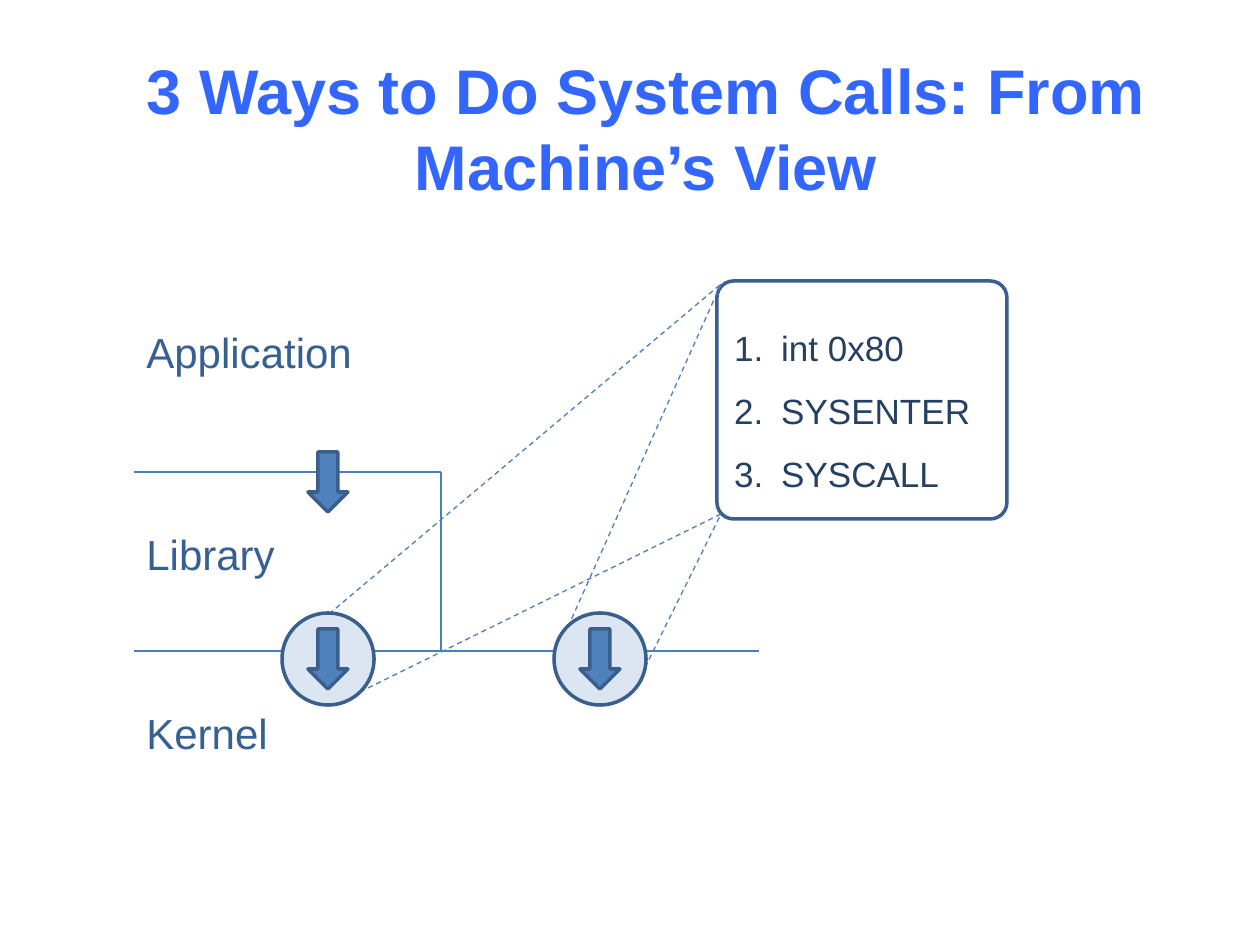
import pptx
import pptx.dml.color
import pptx.enum.dml
import pptx.enum.shapes
import pptx.enum.text
import pptx.oxml.ns
import pptx.util
from lxml import etree

EMU_PER_PX = 914400 / 126
SHAPES = pptx.enum.shapes.MSO_SHAPE
ANCHOR = pptx.enum.text.MSO_ANCHOR
ALIGN = pptx.enum.text.PP_ALIGN
DASH = pptx.enum.dml.MSO_LINE.DASH


def px(length):
    return pptx.util.Emu(round(length * EMU_PER_PX))


def color(value):
    return pptx.dml.color.RGBColor.from_string(value)


def apply(target, values):
    for name, value in values.items():
        setattr(target, name, value)


def add_element(parent, tag, **attributes):
    return etree.SubElement(parent, pptx.oxml.ns.qn(tag), **attributes)


class SlideBuilder:
    font = "Arial"
    outline = "3A5F8C"
    rule = "4B7EBC"
    arrow_fill = "4F81BD"
    circle_fill = "DCE6F2"

    def __init__(self, slide):
        self.slide = slide

    def format_text(self, paragraph, size, text_color, bold=False):
        apply(paragraph.font, {"name": self.font, "size": pptx.util.Pt(size), "bold": bold})
        paragraph.font.color.rgb = color(text_color)

    def text(self, content, left, top, width, height, size, text_color,
             bold=False, align=ALIGN.LEFT, anchor=ANCHOR.TOP):
        box = self.slide.shapes.add_textbox(px(left), px(top), px(width), px(height))
        apply(box.text_frame, {"word_wrap": True, "vertical_anchor": anchor})
        paragraph = box.text_frame.paragraphs[0]
        apply(paragraph, {"text": content, "alignment": align})
        self.format_text(paragraph, size, text_color, bold)

    def line(self, start, end, dash=None):
        connector = self.slide.shapes.add_connector(
            pptx.enum.shapes.MSO_CONNECTOR.STRAIGHT, *map(px, start + end))
        apply(connector.line, {"width": pptx.util.Pt(0.75), "dash_style": dash})
        connector.line.color.rgb = color(self.rule)
        add_element(connector._element.spPr, "a:effectLst")

    def shape(self, kind, left, top, width, height, fill=None):
        shape = self.slide.shapes.add_shape(kind, px(left), px(top), px(width), px(height))
        shape.shadow.inherit = False
        if fill:
            shape.fill.solid()
            shape.fill.fore_color.rgb = color(fill)
        else:
            shape.fill.background()
        shape.line.width = pptx.util.Pt(2)
        shape.line.color.rgb = color(self.outline)
        return shape

    def arrow(self, center, top):
        self.shape(SHAPES.DOWN_ARROW, center - 20, top, 40, 60, self.arrow_fill)

    def circled_arrow(self, center, top):
        self.shape(SHAPES.OVAL, center - 46, top, 92, 92, self.circle_fill)
        self.arrow(center, top + 16)

    def numbered_box(self, items, left, top, width, height):
        box = self.shape(SHAPES.ROUNDED_RECTANGLE, left, top, width, height)
        box.adjustments[0] = 0.07
        frame = box.text_frame
        apply(frame, {"word_wrap": True, "vertical_anchor": ANCHOR.MIDDLE})
        for index, item in enumerate(items):
            paragraph = frame.add_paragraph() if index else frame.paragraphs[0]
            apply(paragraph, {"text": item, "alignment": ALIGN.LEFT, "line_spacing": 1.5})
            properties = paragraph._p.get_or_add_pPr()
            properties.set("marL", str(px(47)))
            properties.set("indent", str(px(-47)))
            add_element(properties, "a:buFont", typeface=self.font)
            add_element(properties, "a:buAutoNum", type="arabicPeriod")
            self.format_text(paragraph, 20, "254061")


def main():
    presentation = pptx.Presentation()
    presentation.slide_width = px(1260)
    presentation.slide_height = px(945)
    builder = SlideBuilder(presentation.slides.add_slide(presentation.slide_layouts[6]))

    builder.text("3 Ways to Do System Calls: From Machine’s View", 60, 66, 1172, 123,
                 36, "3366FF", True, ALIGN.CENTER, ANCHOR.MIDDLE)

    left, library_right, kernel_right = 134, 441, 759
    library_top, kernel_top = 472, 651
    builder.line((left, kernel_top), (kernel_right, kernel_top))
    builder.line((left, library_top), (library_right, library_top))
    builder.line((library_right, library_top), (library_right, kernel_top))
    for label, top in (("Application", 320), ("Library", 522), ("Kernel", 701)):
        builder.text(label, left, top, 268, 63, 24, "376092")

    builder.numbered_box(("int 0x80", "SYSENTER", "SYSCALL"), 717, 281, 290, 238)
    box_top, box_bottom = (721, 284), (721, 514)
    for start, end in (((568, 627), box_top), ((633, 692), box_bottom),
                       ((329, 614), box_top), ((360, 692), box_bottom)):
        builder.line(start, end, DASH)

    library_center, direct_center = 328, 600
    builder.arrow(library_center, 452)
    for center in (direct_center, library_center):
        builder.circled_arrow(center, 613)

    presentation.save("out.pptx")


if __name__ == "__main__":
    main()
